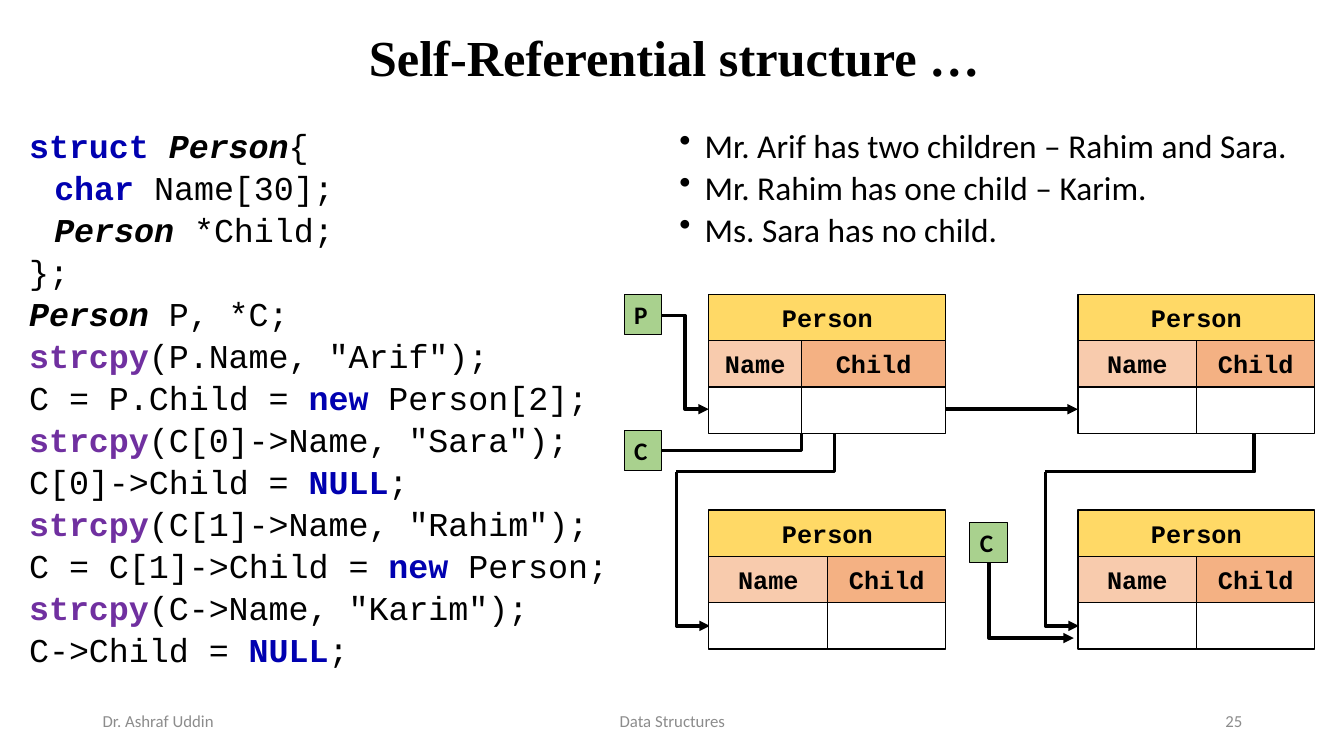
from pptx import Presentation
from pptx.dml.color import RGBColor
from pptx.enum.shapes import MSO_CONNECTOR, MSO_SHAPE
from pptx.enum.text import MSO_ANCHOR, PP_ALIGN
from pptx.oxml.ns import qn
from pptx.util import Inches, Pt
from lxml.etree import SubElement

BLACK, GRAY, WHITE = "000000", "8C8C8C", "FFFFFF"
KEYWORD, CALL = "0000B0", "7030A0"
GOLD, PEACH, ORANGE, GREEN = "FFD966", "F8CBAD", "F4B183", "A9D18E"
MONO, SANS, SERIF = "Courier New", "Calibri", "Times New Roman"
ROW = 0.46

# Styles of code pieces: (colour, bold, italic)
PLAIN, KEY, FUNC, TYPE = ((BLACK, False, False), (KEYWORD, True, False),
                          (CALL, True, False), (BLACK, True, True))
# Code lines: (indent, pieces)
CODE = [
    (0, [("struct ", KEY), ("Person", TYPE), ("{", PLAIN)]),
    (0.25, [("char", KEY), (" Name[30];", PLAIN)]),
    (0.25, [("Person", TYPE), (" *Child;", PLAIN)]),
    (0, [("};", PLAIN)]),
    (0, [("Person", TYPE), (" P, *C;", PLAIN)]),
    (0, [("strcpy", FUNC), ('(P.Name, "Arif");', PLAIN)]),
    (0, [("C = P.Child = ", PLAIN), ("new", KEY), (" Person[2];", PLAIN)]),
    (0, [("strcpy", FUNC), ('(C[0]->Name, "Sara");', PLAIN)]),
    (0, [("C[0]->Child = ", PLAIN), ("NULL", KEY), (";", PLAIN)]),
    (0, [("strcpy", FUNC), ('(C[1]->Name, "Rahim");', PLAIN)]),
    (0, [("C = C[1]->Child = ", PLAIN), ("new", KEY), (" Person;", PLAIN)]),
    (0, [("strcpy", FUNC), ('(C->Name, "Karim");', PLAIN)]),
    (0, [("C->Child = ", PLAIN), ("NULL", KEY), (";", PLAIN)]),
]
FAMILY = ["Mr. Arif has two children – Rahim and Sara.",
          "Mr. Rahim has one child – Karim.",
          "Ms. Sara has no child."]


def rgb(color):
    return RGBColor.from_string(color)


def style(paragraph, face, size, color=BLACK, bold=False, align=PP_ALIGN.LEFT):
    paragraph.alignment = align
    font = paragraph.font
    font.name, font.size, font.bold = face, Pt(size), bold
    font.color.rgb = rgb(color)


def text_frame(slide, box, anchor=MSO_ANCHOR.TOP):
    frame = slide.shapes.add_textbox(*map(Inches, box)).text_frame
    frame.word_wrap = True
    frame.vertical_anchor = anchor
    return frame


def text_lines(frame, count):
    """Yield evenly spaced paragraphs for a block of body text."""
    for number in range(count):
        line = frame.add_paragraph() if number else frame.paragraphs[0]
        line.line_spacing, line.space_before = Pt(20), Pt(10)
        yield line


def add_title(slide, box):
    title = slide.shapes.title
    title.left, title.top, title.width, title.height = map(Inches, box)
    title.text_frame.vertical_anchor = MSO_ANCHOR.MIDDLE
    heading = title.text_frame.paragraphs[0]
    heading.text = "Self-Referential structure …"
    heading.line_spacing = 0.9
    style(heading, SERIF, 36, bold=True, align=PP_ALIGN.CENTER)


def add_code(slide, box):
    frame = text_frame(slide, box)
    for line, (indent, pieces) in zip(text_lines(frame, len(CODE)), CODE):
        line.font.name, line.font.size = MONO, Pt(23.8)
        line._p.get_or_add_pPr().set("marL", str(Inches(indent)))
        for words, (color, bold, italic) in pieces:
            run = line.add_run()
            run.text = words
            run.font.color.rgb = rgb(color)
            run.font.bold, run.font.italic = bold, italic


def add_family(slide, box):
    frame = text_frame(slide, box)
    for line, fact in zip(text_lines(frame, len(FAMILY)), FAMILY):
        line.text = fact
        style(line, SANS, 23.8)
        props = line._p.get_or_add_pPr()
        props.set("marL", str(Inches(0.25)))
        props.set("indent", str(-Inches(0.25)))
        bullet = props.makeelement(qn("a:buChar"), {"char": "•"})
        props.find(qn("a:defRPr")).addprevious(bullet)


def add_footer(slide, top):
    for left, width, words, align in [
            (0.92, 3, "Dr. Ashraf Uddin", PP_ALIGN.LEFT),
            (4.42, 4.5, "Data Structures", PP_ALIGN.CENTER),
            (9.42, 3, "25", PP_ALIGN.RIGHT)]:
        frame = text_frame(slide, (left, top, width, 0.4), MSO_ANCHOR.MIDDLE)
        frame.text = words
        style(frame.paragraphs[0], SANS, 12, GRAY, align=align)


def add_cell(slide, box, fill, words="", face=MONO, align=PP_ALIGN.CENTER, line=1):
    cell = slide.shapes.add_shape(MSO_SHAPE.RECTANGLE, *map(Inches, box))
    cell.shadow.inherit = False
    cell.fill.solid()
    cell.fill.fore_color.rgb = rgb(fill)
    cell.line.color.rgb = rgb(BLACK)
    cell.line.width = Pt(line)
    if words:
        cell.text_frame.text = words
        cell.text_frame.word_wrap = False
        cell.text_frame.vertical_anchor = MSO_ANCHOR.MIDDLE
        style(cell.text_frame.paragraphs[0], face, 18, bold=True, align=align)


def add_record(slide, left, top, name_width, width=2.35):
    """A Person record: heading, field names and empty values."""
    add_cell(slide, (left, top, width, ROW), GOLD, "Person")
    child, child_width = left + name_width, width - name_width
    for row, name, link, name_fill, link_fill in [
            (1, "Name", "Child", PEACH, ORANGE), (2, "", "", WHITE, WHITE)]:
        y = top + row * ROW
        add_cell(slide, (left, y, name_width, ROW), name_fill, name)
        add_cell(slide, (child, y, child_width, ROW), link_fill, link)


def add_pointer(slide, left, top, name):
    add_cell(slide, (left, top, 0.37, 0.4), GREEN, name, SANS, PP_ALIGN.LEFT, 0.75)


def add_link(slide, start, end, kind=MSO_CONNECTOR.ELBOW, arrow=True, bend=None):
    """Connect two points; bend is the share of the width before the turn."""
    link = slide.shapes.add_connector(kind, *map(Inches, start + end))
    link.line.color.rgb = rgb(BLACK)
    link.line.width = Pt(2.5)
    props = link._element.spPr
    if arrow:
        SubElement(link.line._get_or_add_ln(), qn("a:tailEnd"), type="triangle")
    SubElement(props, qn("a:effectLst"))
    if bend is not None:
        guides = props.find(qn("a:prstGeom")).get_or_add_avLst()
        SubElement(guides, qn("a:gd"), name="adj1", fmla=f"val {round(bend * 100000)}")
    return link


def add_down_right(slide, start, end):
    """An arrow that runs down and then turns right once."""
    link = add_link(slide, start, end)
    across, down = end[0] - start[0], end[1] - start[1]
    link.left = Inches((start[0] + end[0] - down) / 2)
    link.top = Inches((start[1] + end[1] - across) / 2)
    link.width, link.height = Inches(down), Inches(across)
    props = link._element.spPr
    props.find(qn("a:prstGeom")).set("prst", "bentConnector2")
    props.find(qn("a:xfrm")).set("rot", str(270 * 60000))
    props.find(qn("a:xfrm")).set("flipH", "1")


def add_diagram(slide, left, top):
    right, lower = left + 3.66, top + 2.14
    value, lower_value = top + 1.14, lower + 1.15

    # Links lie behind the records, so they emerge from the value cells
    add_link(slide, (left + 2.06, value), (right, value), MSO_CONNECTOR.STRAIGHT)
    for record, child_x in [(left, left + 1.25), (right, right + 1.75)]:
        side = record - 0.32
        add_link(slide, (child_x, value), (side, top + 1.76), arrow=False, bend=0)
        add_down_right(slide, (side, top + 1.76), (record + 0.01, lower_value))
    add_link(slide, (left - 0.47, top + 0.21), (left, value), bend=0.5)
    add_link(slide, (left - 0.47, top + 1.55), (left + 0.92, value), bend=1)
    add_down_right(slide, (right - 0.88, lower + 0.53), (right - 0.04, lower + 1.27))

    # Records
    add_record(slide, left, top, 0.92)
    for x, y in [(right, top), (left, lower), (right, lower)]:
        add_record(slide, x, y, 1.18)

    # Pointer variables
    add_pointer(slide, left - 0.84, top, "P")
    add_pointer(slide, left - 0.84, top + 1.35, "C")
    add_pointer(slide, right - 1.07, lower + 0.12, "C")


def main():
    deck = Presentation()
    deck.slide_width, deck.slide_height = Inches(13.33), Inches(7.5)
    slide = deck.slides.add_slide(deck.slide_layouts[5])
    add_title(slide, (0.94, 0.28, 11.5, 0.64))
    add_code(slide, (0.19, 1.31, 6.4, 5.45))
    add_family(slide, (6.64, 1.31, 6.48, 1.38))
    add_diagram(slide, 7.03, 2.92)
    add_footer(slide, 6.95)
    deck.save("out.pptx")


if __name__ == "__main__":
    main()
